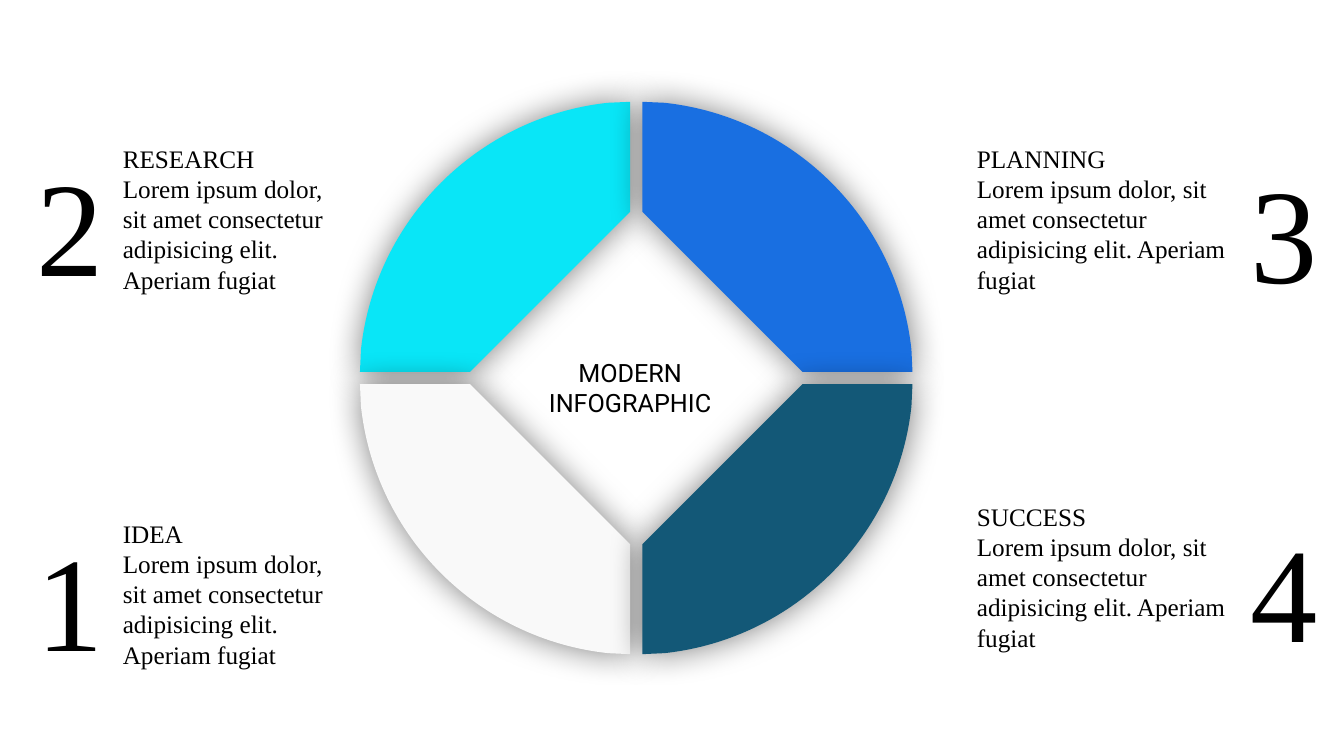
import lxml.etree
import pptx
import pptx.dml.color
import pptx.enum.text
import pptx.oxml.ns
import pptx.util
from pptx.util import Inches

CENTER_X, CENTER_Y = 6.31, 3.75
BODY = "Lorem ipsum dolor, sit amet consectetur adipisicing elit. Aperiam fugiat"

# One ring quarter, as distances from the center; points 2 to 4 bend the arc
QUARTER = [
    (0.06, 2.74), (0.28, 2.73), (1.57, 2.59), (2.59, 1.57),
    (2.73, 0.28), (2.74, 0.06), (1.65, 0.06), (0.06, 1.65),
]


def color(hex_code):
    return pptx.dml.color.RGBColor.from_string(hex_code)


def write(shape, lines, size, font_name, align):
    """Fill a text shape with one paragraph per line, in black."""
    frame = shape.text_frame
    frame.text = "\n".join(lines)
    frame.word_wrap = True
    frame.auto_size = pptx.enum.text.MSO_AUTO_SIZE.SHAPE_TO_FIT_TEXT
    frame.vertical_anchor = pptx.enum.text.MSO_ANCHOR.TOP
    for paragraph in frame.paragraphs:
        paragraph.alignment = align
        for run in paragraph.runs:
            run.font.size = pptx.util.Pt(size)
            run.font.name = font_name
            run.font.color.rgb = color("000000")


deck = pptx.Presentation()
deck.slide_width, deck.slide_height = Inches(13.33), Inches(7.5)
slide = deck.slides.add_slide(deck.slide_layouts[5])

for side_x, side_y, fill in [
    (-1, -1, "09E6F7"),
    (1, -1, "196FE1"),
    (-1, 1, "F9F9F9"),
    (1, 1, "135877"),
]:
    points = [
        (Inches(CENTER_X + side_x * x), Inches(CENTER_Y + side_y * y))
        for x, y in QUARTER
    ]
    builder = slide.shapes.build_freeform(*points[0])
    builder.add_line_segments(points[1:], close=True)
    quarter = builder.convert_to_shape()

    # Merge the three segments along the arc into one curve
    segments = list(quarter._element.iter(pptx.oxml.ns.qn("a:lnTo")))[1:4]
    arc = lxml.etree.Element(pptx.oxml.ns.qn("a:cubicBezTo"))
    segments[0].addprevious(arc)
    for segment in segments:
        arc.append(segment[0])
        segment.getparent().remove(segment)

    quarter.fill.solid()
    quarter.fill.fore_color.rgb = color(fill)
    quarter.line.fill.background()
    quarter.shadow.inherit = False
    effects = quarter._element.spPr.find(pptx.oxml.ns.qn("a:effectLst"))
    glow = lxml.etree.SubElement(
        effects, pptx.oxml.ns.qn("a:outerShdw"),
        blurRad=str(pptx.util.Pt(24)), dist="0", dir="0", algn="ctr", rotWithShape="0",
    )
    shade = lxml.etree.SubElement(glow, pptx.oxml.ns.qn("a:srgbClr"), val="000000")
    lxml.etree.SubElement(shade, pptx.oxml.ns.qn("a:alpha"), val="50000")

heading = slide.shapes.title
heading.left, heading.top = Inches(4.91), Inches(3.49)
heading.width, heading.height = Inches(2.68), Inches(0.71)
write(heading, ["MODERN", "INFOGRAPHIC"], 18, "Roboto", pptx.enum.text.PP_ALIGN.CENTER)

# Stages: name, text left/top/width, number, number left/top/width
for name, left, top, width, number, number_left, number_top, number_width in [
    ("RESEARCH", 1.12, 1.37, 2.4, "2", 0.26, 1.36, 0.76),
    ("IDEA", 1.12, 5.09, 2.4, "1", 0.26, 5.08, 0.76),
    ("PLANNING", 9.59, 1.37, 2.71, "3", 12.3, 1.43, 0.86),
    ("SUCCESS", 9.59, 4.92, 2.71, "4", 12.3, 4.99, 0.86),
]:
    stage = slide.shapes.add_textbox(
        Inches(left), Inches(top), Inches(width), Inches(1.62))
    write(stage, [name, BODY], 18, "Times New Roman", pptx.enum.text.PP_ALIGN.LEFT)
    numeral = slide.shapes.add_textbox(
        Inches(number_left), Inches(number_top), Inches(number_width), Inches(1.72))
    write(numeral, [number], 96, "Times New Roman", pptx.enum.text.PP_ALIGN.LEFT)

deck.save("out.pptx")
